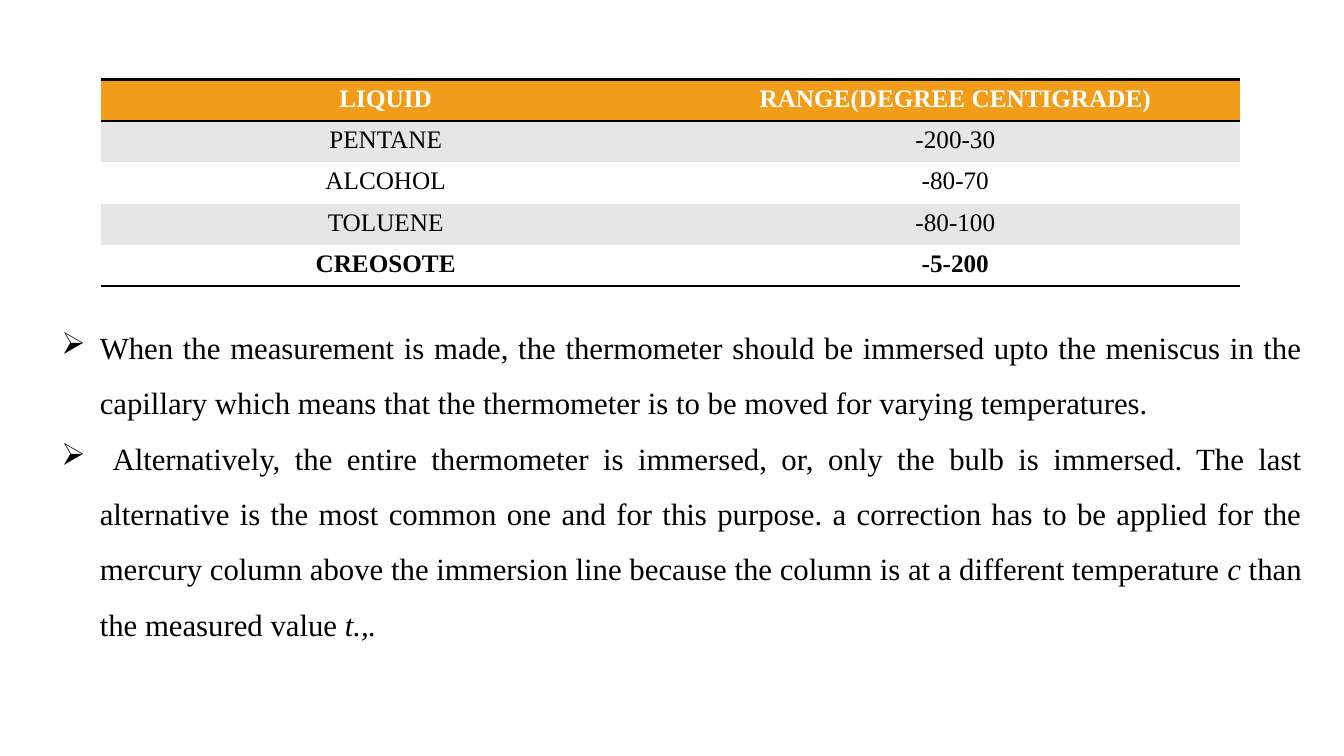
from dataclasses import dataclass

from lxml.etree import SubElement
from pptx import Presentation
from pptx.dml.color import RGBColor
from pptx.enum.text import MSO_ANCHOR, PP_ALIGN
from pptx.oxml import parse_xml
from pptx.oxml.ns import nsdecls, qn
from pptx.util import Inches, Pt


@dataclass(frozen=True)
class Theme:
    font: str = "Times New Roman"
    ink: str = "000000"
    white: str = "FFFFFF"
    header: str = "F19D19"
    band: str = "E6E6E6"
    table_size: int = 18
    body_size: int = 22
    rule_width: int = 2


THEME = Theme()
NO_STYLE_NO_GRID = "{2D5ABB26-0587-4C30-8999-92F81FD0307C}"

LIQUID_RANGES = [
    ("LIQUID", "RANGE(DEGREE CENTIGRADE)"),
    ("PENTANE", "-200-30"),
    ("ALCOHOL", "-80-70"),
    ("TOLUENE", "-80-100"),
    ("CREOSOTE", "-5-200"),
]

# Each point is a list of (text, italic) runs.
POINTS = [
    [("When the measurement is made, the thermometer should be immersed upto "
      "the meniscus in the capillary which means that the thermometer is to be "
      "moved for varying temperatures.", False)],
    [(" Alternatively, the entire thermometer is immersed, or, only the bulb is "
      "immersed. The last alternative is the most common one and for this "
      "purpose. a correction has to be applied for the mercury column above the "
      "immersion line because the column is at a different temperature ", False),
     ("c ", True),
     ("than the measured value ", False),
     ("t.,.", True)],
]


def style_font(font, size, color, bold=False, italic=False):
    font.name = THEME.font
    font.size = Pt(size)
    font.color.rgb = RGBColor.from_string(color)
    font.bold = bold
    font.italic = italic


def add_rules(cell, sides):
    """Draw a rule on the given sides of a cell, listed in the order T, B."""
    tcPr = cell._tc.get_or_add_tcPr()
    for i, side in enumerate(sides):
        tcPr.insert(i, parse_xml(
            f'<a:ln{side} {nsdecls("a")} w="{Pt(THEME.rule_width)}">'
            f'<a:solidFill><a:srgbClr val="{THEME.ink}"/></a:solidFill>'
            f'</a:ln{side}>'))


def add_banded_table(s, rows, left, top, width, row_height):
    """Add a table with a filled header, grey bands and a bold last row."""
    last = len(rows) - 1
    table = s.shapes.add_table(len(rows), len(rows[0]), left, top, width,
                               row_height * len(rows)).table
    table._tbl.tblPr.find(qn("a:tableStyleId")).text = NO_STYLE_NO_GRID
    rules = {0: "TB", last: "B"}
    for i, row in enumerate(rows):
        fill = THEME.header if i == 0 else THEME.band if i % 2 else THEME.white
        for j, text in enumerate(row):
            cell = table.cell(i, j)
            cell.fill.solid()
            cell.fill.fore_color.rgb = RGBColor.from_string(fill)
            add_rules(cell, rules.get(i, ""))
            cell.text_frame.text = text
            p = cell.text_frame.paragraphs[0]
            p.alignment = PP_ALIGN.CENTER
            style_font(p.runs[0].font, THEME.table_size,
                       THEME.ink if i else THEME.white, bold=i in (0, last))


def add_arrow_bullet(p, indent):
    pPr = p._p.get_or_add_pPr()
    pPr.set("marL", str(indent))
    pPr.set("indent", str(-indent))
    color = SubElement(pPr, qn("a:buClr"))
    SubElement(color, qn("a:srgbClr"), val=THEME.ink)
    SubElement(pPr, qn("a:buFont"), typeface="Wingdings")
    SubElement(pPr, qn("a:buChar"), char="Ø")


def fill_body(body, points, left, top, width, height):
    body.left, body.top, body.width, body.height = left, top, width, height
    tf = body.text_frame
    tf.word_wrap = True
    tf.vertical_anchor = MSO_ANCHOR.MIDDLE
    for i, point in enumerate(points):
        p = tf.add_paragraph() if i else tf.paragraphs[0]
        add_arrow_bullet(p, Inches(0.38))
        p.alignment = PP_ALIGN.JUSTIFY
        p.line_spacing = 1.5
        p.space_before = p.space_after = Pt(0)
        for text, italic in point:
            r = p.add_run()
            r.text = text
            style_font(r.font, THEME.body_size, THEME.ink, italic=italic)


def main():
    prs = Presentation()
    prs.slide_width, prs.slide_height = Inches(13.33), Inches(7.5)
    s = prs.slides.add_slide(prs.slide_layouts[1])
    title = s.shapes.title
    title.element.getparent().remove(title.element)
    fill_body(s.placeholders[1], POINTS,
              Inches(0.51), Inches(2.58), Inches(12.5), Inches(4.29))
    add_banded_table(s, LIQUID_RANGES,
                     Inches(1), Inches(0.79), Inches(11.3), Inches(0.41))
    prs.save("out.pptx")


if __name__ == "__main__":
    main()
